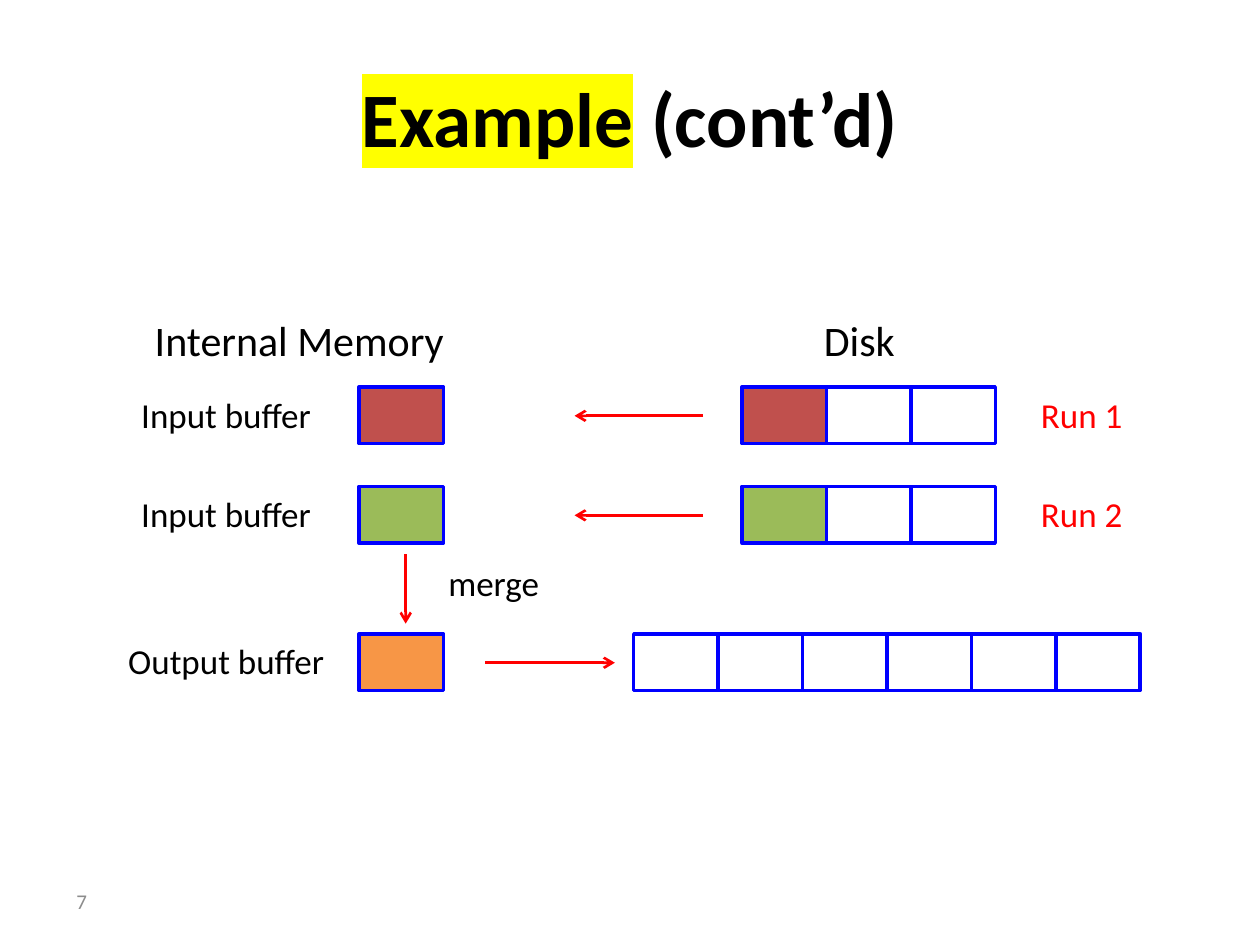
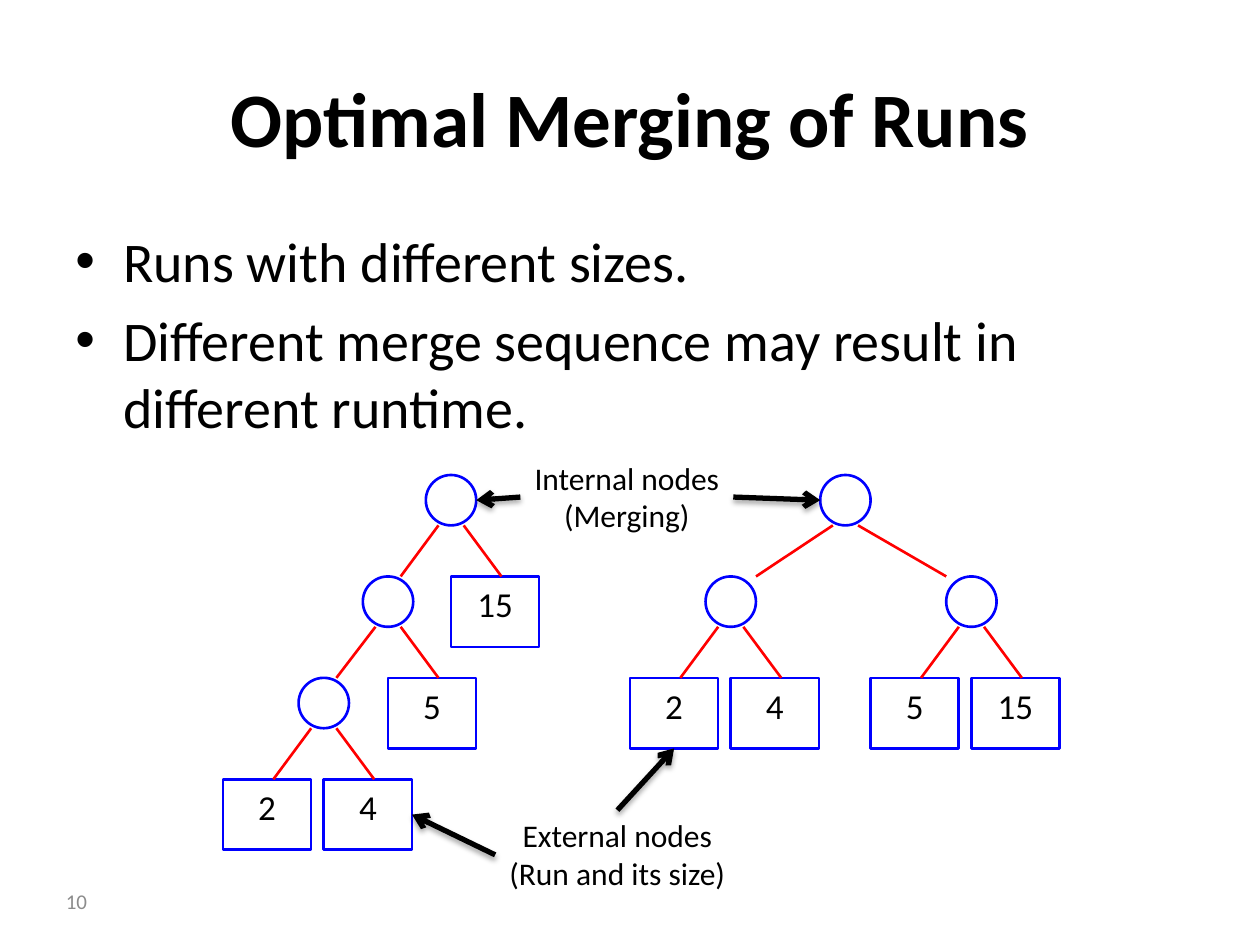
import dataclasses

import lxml.etree
import pptx
import pptx.dml.color
import pptx.enum.shapes
import pptx.enum.text
import pptx.oxml.ns
import pptx.util

Inches = pptx.util.Inches
Pt = pptx.util.Pt
qn = pptx.oxml.ns.qn
SHAPE = pptx.enum.shapes.MSO_SHAPE
ALIGN = pptx.enum.text.PP_ALIGN
ANCHOR = pptx.enum.text.MSO_ANCHOR

FONT = "Calibri"
COLORS = {
    "text": "000000",
    "outline": "0000FF",
    "accent": "FF0000",
    "run1": "C0504D",
    "run2": "9BBB59",
    "output": "F79646",
    "empty": "FFFFFF",
    "highlight": "FFFF00",
    "number": "8C8C8C",
}

CELL_W, CELL_H = 0.67, 0.45
BUFFER_X = 2.85
NODE, LEAF_W, LEAF_H = 0.4, 0.7, 0.56
TREE_TOP, LEVEL_STEP = 3.77, 0.805


@dataclasses.dataclass
class Merge:
    """An internal tree node; a child that is a string is a leaf (a run)."""
    cx: float
    left: object
    right: object
    inset: float = 0.1


def rgb(name):
    return pptx.dml.color.RGBColor.from_string(COLORS[name])


def sub(parent, tag, **attrs):
    return lxml.etree.SubElement(parent, qn(tag), attrs)


def add_run(p, text, size, color="text", bold=False, highlight=None):
    r = p.add_run()
    r.text = text
    r.font.size, r.font.bold, r.font.name = Pt(size), bold, FONT
    r.font.color.rgb = rgb(color)
    if highlight:
        rPr = r.font.color.rgb is not None and r._r.get_or_add_rPr()
        mark = sub(rPr, "a:highlight")
        sub(mark, "a:srgbClr", val=COLORS[highlight])
        rPr.find(qn("a:latin")).addprevious(mark)


def add_text(s, box, text, size, color="text", align=ALIGN.LEFT,
             anchor=ANCHOR.TOP, wrap=True):
    sp = s.shapes.add_textbox(*map(Inches, box))
    tf = sp.text_frame
    tf.word_wrap, tf.vertical_anchor = wrap, anchor
    p = tf.paragraphs[0]
    p.alignment = align
    for i, line in enumerate(text.split("\n") if text else []):
        if i:
            p.add_line_break()
        add_run(p, line, size, color)
    return sp


def add_title(s, *runs):
    """Each run is a pair: text and highlight colour name (or None)."""
    sp = add_text(s, (0.5, 0.3, 9, 1.25), "", 44, align=ALIGN.CENTER,
                  anchor=ANCHOR.MIDDLE)
    for text, highlight in runs:
        add_run(sp.text_frame.paragraphs[0], text, 44, bold=True,
                highlight=highlight)


def add_slide_number(s, number):
    add_text(s, (0.19, 6.95, 0.6, 0.4), number, 12, "number", ALIGN.RIGHT,
             ANCHOR.MIDDLE)


def add_bullets(s, box, items):
    tf = add_text(s, box, "", 32).text_frame
    for i, item in enumerate(items):
        p = tf.add_paragraph() if i else tf.paragraphs[0]
        p.space_before = Pt(6.4)
        pPr = p._p.get_or_add_pPr()
        pPr.set("marL", str(Inches(0.38)))
        pPr.set("indent", str(-Inches(0.38)))
        sub(pPr, "a:buFont", typeface="Arial")
        sub(pPr, "a:buChar", char="•")
        add_run(p, item, 32)


def add_outlined(s, kind, box, width, fill=None):
    sp = s.shapes.add_shape(kind, *map(Inches, box))
    sp.shadow.inherit = False
    if fill:
        sp.fill.solid()
        sp.fill.fore_color.rgb = rgb(fill)
    else:
        sp.fill.background()
    sp.line.color.rgb = rgb("outline")
    sp.line.width = Pt(width)
    return sp


def add_line(s, start, end, color="accent", width=1.5, arrow=False,
             shadow=False):
    line = s.shapes.add_connector(
        pptx.enum.shapes.MSO_CONNECTOR.STRAIGHT, *map(Inches, start + end))
    line.line.color.rgb = rgb(color)
    line.line.width = Pt(width)
    if arrow:
        sub(line.line._get_or_add_ln(), "a:tailEnd", type="arrow")
    effects = sub(line._element.spPr, "a:effectLst")
    if shadow:
        outer = sub(effects, "a:outerShdw", blurRad=str(Pt(3.1)),
                    dist=str(Pt(1.8)), dir="5400000", rotWithShape="0")
        clr = sub(outer, "a:srgbClr", val=COLORS["text"])
        sub(clr, "a:alpha", val="35000")
    return line


def add_pointer(s, start, end):
    return add_line(s, start, end, "text", 3, arrow=True, shadow=True)


def add_cells(s, x, y, fills):
    for i, fill in enumerate(fills):
        add_outlined(s, SHAPE.RECTANGLE,
                     (x + i * CELL_W, y, CELL_W, CELL_H), 2, fill)


def add_buffer(s, y, label, fill):
    add_text(s, (0.74, y, 2.11, 0.44), label, 20, align=ALIGN.CENTER)
    add_cells(s, BUFFER_X, y, [fill])


def add_leaf(s, x, y, label):
    sp = add_outlined(s, SHAPE.RECTANGLE, (x, y, LEAF_W, LEAF_H), 1.5)
    tf = sp.text_frame
    tf.vertical_anchor = ANCHOR.TOP
    tf.paragraphs[0].alignment = ALIGN.CENTER
    add_run(tf.paragraphs[0], label, 20)
    return sp


def add_tree(s, node, level=0):
    """Draw a merge tree and return its leaves by label."""
    y = TREE_TOP + level * LEVEL_STEP
    child_y = y + LEVEL_STEP
    add_outlined(s, SHAPE.OVAL, (node.cx - NODE / 2, y, NODE, NODE), 1.5)
    leaves = {}
    for side, child in ((-1, node.left), (1, node.right)):
        if isinstance(child, Merge):
            end_x = child.cx - side * node.inset
            leaves.update(add_tree(s, child, level + 1))
        else:
            end_x = node.cx + side * 0.4
            leaf_x = node.cx if side > 0 else node.cx - 0.8
            leaves[child] = add_leaf(s, leaf_x, child_y, child)
        add_line(s, (node.cx + side * 0.1, y + NODE), (end_x, child_y))
    return leaves


def build_example(s):
    add_title(s, ("Example", "highlight"), (" (cont’d)", None))
    add_text(s, (1.13, 2.45, 2.5, 0.5), "Internal Memory", 24)
    add_text(s, (6.44, 2.45, 1.02, 0.5), "Disk", 24)
    for y, run, fill in ((3.07, "Run 1", "run1"), (3.86, "Run 2", "run2")):
        add_buffer(s, y, "Input buffer", fill)
        add_line(s, (5.58, y + 0.23), (4.56, y + 0.23), arrow=True)
        add_cells(s, 5.89, y, [fill, "empty", "empty"])
        add_text(s, (7.92, y, 1.33, 0.44), run, 20, "accent", ALIGN.CENTER)
    add_line(s, (3.22, 4.4), (3.22, 4.95), arrow=True)
    add_text(s, (3.46, 4.41, 1.02, 0.44), "merge", 20)
    add_buffer(s, 5.03, "Output buffer", "output")
    add_line(s, (3.85, 5.26), (4.88, 5.26), arrow=True)
    add_cells(s, 5.03, 5.03, ["empty"] * 6)
    add_slide_number(s, "7")


def build_optimal_merging(s):
    add_title(s, ("Optimal Merging of Runs", None))
    add_bullets(s, (0.5, 1.75, 9, 4.95), [
        "Runs with different sizes.",
        "Different merge sequence may result in different runtime.",
    ])
    skewed = Merge(3.58, Merge(3.08, Merge(2.57, "2", "4"), "5"), "15")
    balanced = Merge(6.71, Merge(5.8, "2", "4"), Merge(7.71, "5", "15"), 0.2)
    skewed_leaves = add_tree(s, skewed)
    balanced_leaves = add_tree(s, balanced)

    external = add_text(s, (3.93, 6.43, 1.94, 0.71),
                        "External nodes\n(Run and its size)", 18,
                        align=ALIGN.CENTER, wrap=False)
    internal = add_text(s, (4.13, 3.59, 1.69, 0.71),
                        "Internal nodes\n(Merging)", 18,
                        align=ALIGN.CENTER, wrap=False)
    for start, end, site, leaf, leaf_site in (
            ((4.9, 6.43), (5.35, 5.94), 0, balanced_leaves["2"], 2),
            ((3.93, 6.78), (3.28, 6.46), 1, skewed_leaves["4"], 3)):
        pointer = add_pointer(s, start, end)
        pointer.begin_connect(external, site)
        pointer.end_connect(leaf, leaf_site)
    root_y = TREE_TOP + NODE / 2
    for start_x, end_x, site in ((5.82, balanced.cx - NODE / 2, 3),
                                 (4.13, skewed.cx + NODE / 2, 1)):
        pointer = add_pointer(s, (start_x, 3.95), (end_x, root_y))
        pointer.begin_connect(internal, site)
    add_slide_number(s, "10")


def main():
    prs = pptx.Presentation()
    prs.slide_width, prs.slide_height = Inches(10), Inches(7.5)
    for build in (build_example, build_optimal_merging):
        build(prs.slides.add_slide(prs.slide_layouts[6]))
    prs.save("out.pptx")


if __name__ == "__main__":
    main()
